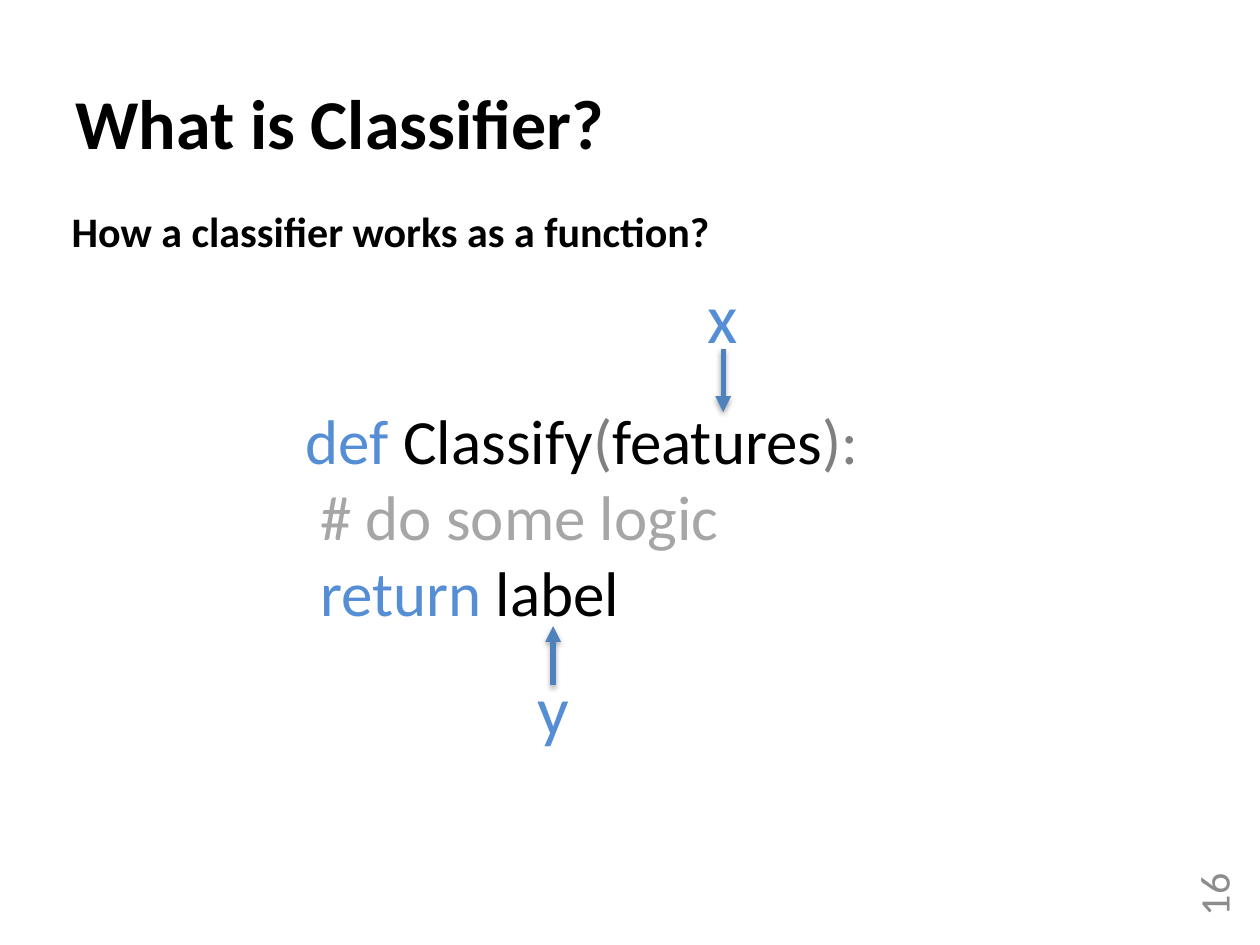
import pptx
import pptx.util
import pptx.dml.color
import pptx.enum.shapes
import pptx.enum.text
import pptx.oxml

RGB = pptx.dml.color.RGBColor
BLACK = RGB(0x00, 0x00, 0x00)
BLUE = RGB(0x55, 0x8E, 0xD5)
STEEL = RGB(0x4F, 0x81, 0xBD)
GRAY = RGB(0x80, 0x80, 0x80)
PALE = RGB(0xA6, 0xA6, 0xA6)
DIM = RGB(0x8C, 0x8C, 0x8C)
ALIGN = pptx.enum.text.PP_ALIGN
ANCHOR = pptx.enum.text.MSO_ANCHOR
NS = 'xmlns:a="http://schemas.openxmlformats.org/drawingml/2006/main"'
TIP = f'<a:tailEnd {NS} type="triangle"/>'
SHADE = (f'<a:effectLst {NS}><a:outerShdw blurRad="40000" dist="23000" '
         'dir="5400000" rotWithShape="0"><a:srgbClr val="000000">'
         '<a:alpha val="35000"/></a:srgbClr></a:outerShdw></a:effectLst>')


def px(n):
    return pptx.util.Emu(n * 9144)


def write(area, lines, size, bold=False, align=ALIGN.LEFT, wrap=True):
    box = slide.shapes.add_textbox(*map(px, area))
    frame = box.text_frame
    frame.word_wrap = wrap
    for i, line in enumerate(lines):
        para = frame.add_paragraph() if i else frame.paragraphs[0]
        para.alignment = align
        for text, color in line:
            run = para.add_run()
            run.text = text
            run.font.name = "Calibri"
            run.font.size = pptx.util.Pt(size)
            run.font.bold = bold
            run.font.color.rgb = color
    return box


deck = pptx.Presentation()
deck.slide_width, deck.slide_height = px(1000), px(750)
slide = deck.slides.add_slide(deck.slide_layouts[6])

write((50, 58, 908, 77), [[("What is Classifier?", BLACK)]], 40, bold=True)
write((47, 158, 908, 50),
      [[("How a classifier works as a function?", BLACK)]], 24, bold=True)

code = [
    [("def", BLUE), (" Classify", BLACK), ("(", GRAY),
     ("features", BLACK), ("):", GRAY)],
    [(" # do some logic", PALE)],
    [(" return", BLUE), (" label", BLACK)],
]
write((233, 314, 500, 192), code, 36)

marks = [
    ("x", (551, 212, 45, 77), ALIGN.CENTER, 574, 277, 327),
    ("y", (417, 523, 46, 77), ALIGN.LEFT, 439, 544, 497),
]
for name, area, align, x, start, end in marks:
    write(area, [[(name, BLUE)]], 40, align=align, wrap=False)
    arrow = slide.shapes.add_connector(
        pptx.enum.shapes.MSO_CONNECTOR.STRAIGHT,
        px(x), px(start), px(x), px(end))
    arrow.line.color.rgb = STEEL
    arrow.line.width = pptx.util.Pt(3)
    arrow.line._get_or_add_ln().append(pptx.oxml.parse_xml(TIP))
    arrow._element.spPr.append(pptx.oxml.parse_xml(SHADE))

page = write((929, 696, 67, 42), [[("16", DIM)]], 24, align=ALIGN.RIGHT)
page.rotation = 270
page.text_frame.vertical_anchor = ANCHOR.MIDDLE

deck.save("out.pptx")
